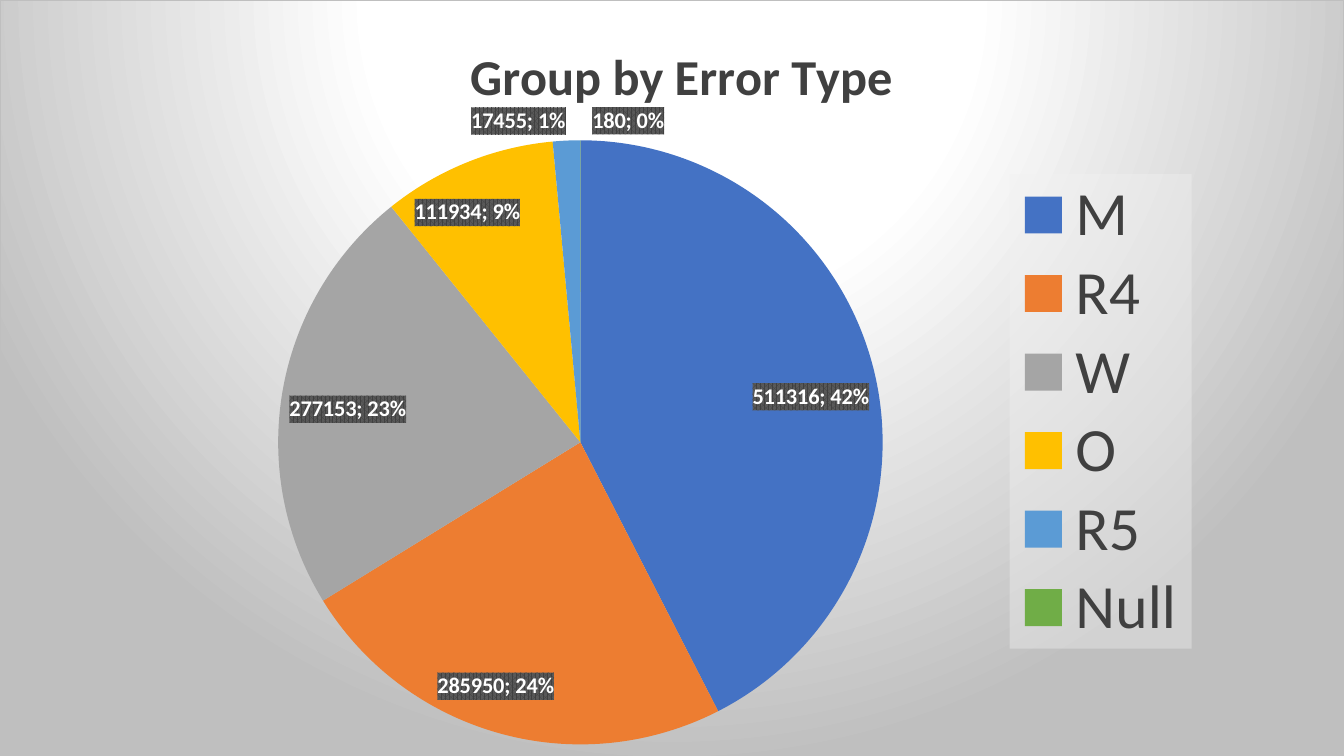
from lxml import etree
from pptx import Presentation, util as u
from pptx.chart.data import CategoryChartData
from pptx.dml.color import RGBColor
from pptx.enum import chart as ch
from pptx.oxml import parse_xml
from pptx.oxml.ns import nsdecls, qn

PX = 9525 * 96 / 100.8
WIDTH, HEIGHT, CHART_HEIGHT = 1344, 756, 760
FONT = "Calibri"

ERRORS = [
    ("M", 511316, "4472C4"),
    ("R4", 285950, "ED7D31"),
    ("W", 277153, "A5A5A5"),
    ("O", 111934, "FFC000"),
    ("R5", 17455, "5B9BD5"),
    ("Null", 180, "70AD47"),
]

BACKDROP = """<a:gradFill>
  <a:gsLst>
    <a:gs pos="0"><a:srgbClr val="FFFFFF"/></a:gs>
    <a:gs pos="39000"><a:srgbClr val="FFFFFF"/></a:gs>
    <a:gs pos="100000"><a:srgbClr val="BFBFBF"/></a:gs>
  </a:gsLst>
  <a:path path="circle"><a:fillToRect l="50000" t="-80000" r="50000" b="180000"/></a:path>
</a:gradFill>
<a:ln w="9525"><a:solidFill><a:srgbClr val="BFBFBF"/></a:solidFill></a:ln>"""
LABEL_PATTERN = """<a:pattFill prst="pct75">
  <a:fgClr><a:srgbClr val="404040"/></a:fgClr>
  <a:bgClr><a:srgbClr val="595959"/></a:bgClr>
</a:pattFill>"""
LEGEND_PANEL = """<a:solidFill>
  <a:srgbClr val="F2F2F2"><a:alpha val="39000"/></a:srgbClr>
</a:solidFill>"""


def px(length):
    return u.Emu(round(length * PX))


def colour(value):
    return RGBColor.from_string(value)


def set_font(font, size, value, bold=False):
    font.name, font.size, font.bold = FONT, u.Pt(size), bold
    font.color.rgb = colour(value)


def shape_properties(content):
    return parse_xml(f'<c:spPr {nsdecls("c", "a")}>{content}</c:spPr>')


def place(part, box, chart_box, after=None, inner=False):
    """Fix a chart part at a px box, as fractions of the chart's own box."""
    for old in part.findall(qn("c:layout")):
        part.remove(old)
    left, top, width, height = chart_box
    x, y, w, h = box
    fractions = {"x": (x - left) / width, "y": (y - top) / height,
                 "w": w / width, "h": h / height}
    layout = etree.fromstring(f'<c:layout {nsdecls("c")}/>')
    manual = etree.SubElement(layout, qn("c:manualLayout"))
    if inner:
        etree.SubElement(manual, qn("c:layoutTarget"), val="inner")
    for name in "xy":
        etree.SubElement(manual, qn(f"c:{name}Mode"), val="edge")
    for name, fraction in fractions.items():
        etree.SubElement(manual, qn(f"c:{name}"), val=f"{fraction:.4f}")
    layout = parse_xml(etree.tostring(layout))
    if after is None:
        part.insert(0, layout)
    else:
        part.find(qn(after)).addnext(layout)


def add_title(chart, box):
    chart.has_title = True
    heading = chart.chart_title.text_frame
    heading.text = "Group by Error Type"
    set_font(heading.paragraphs[0].font, 36, "404040", bold=True)
    chart.chart_title.include_in_layout = False
    x, y, width, _ = box
    place(chart.element.xpath("c:chart/c:title")[0],
          (x + 461, y + 32, width - 922, 50), box, after="c:tx")


def add_legend(chart, box):
    chart.has_legend = True
    legend = chart.legend
    legend.position = ch.XL_LEGEND_POSITION.RIGHT
    legend.include_in_layout = False
    set_font(legend.font, 44, "404040")
    part = chart.element.xpath("c:chart/c:legend")[0]
    part.find(qn("c:txPr")).addprevious(shape_properties(LEGEND_PANEL))
    x, y, _, _ = box
    place(part, (x + 1010, y + 174, 182, 475), box, after="c:legendPos")


def add_labels(chart, series):
    labels = series.data_labels
    labels.show_value = labels.show_percentage = True
    labels.position = ch.XL_LABEL_POSITION.BEST_FIT
    set_font(labels.font, 16, "FFFFFF", bold=True)
    part = chart.element.xpath(".//c:ser/c:dLbls")[0]
    part.find(qn("c:txPr")).addprevious(shape_properties(LABEL_PATTERN))
    separator = parse_xml(f'<c:separator {nsdecls("c")}>; </c:separator>')
    part.find(qn("c:showBubbleSize")).addnext(separator)


def add_error_pie(slide, box):
    names, counts, fills = zip(*ERRORS)
    errors = CategoryChartData()
    errors.categories = names
    errors.add_series("Series 1", counts)
    chart = slide.shapes.add_chart(ch.XL_CHART_TYPE.PIE, *map(px, box), errors).chart
    set_font(chart.font, 10, "000000")
    chart.element.find(qn("c:chart")).addnext(shape_properties(BACKDROP))

    chart.plots[0].vary_by_categories = True
    series = chart.plots[0].series[0]
    for index, fill in enumerate(fills):
        wedge = series.points[index].format
        wedge.fill.solid()
        wedge.fill.fore_color.rgb = colour(fill)
        wedge.line.fill.background()
    add_labels(chart, series)
    add_title(chart, box)
    add_legend(chart, box)
    x, y, _, _ = box
    place(chart.element.xpath("c:chart/c:plotArea")[0],
          (x + 278, y + 140, 605, 605), box, inner=True)


def main():
    deck = Presentation()
    deck.slide_width, deck.slide_height = px(WIDTH), px(HEIGHT)
    slide = deck.slides.add_slide(deck.slide_layouts[6])
    add_error_pie(slide, (0, 0, WIDTH, CHART_HEIGHT))
    deck.save("out.pptx")


if __name__ == "__main__":
    main()
